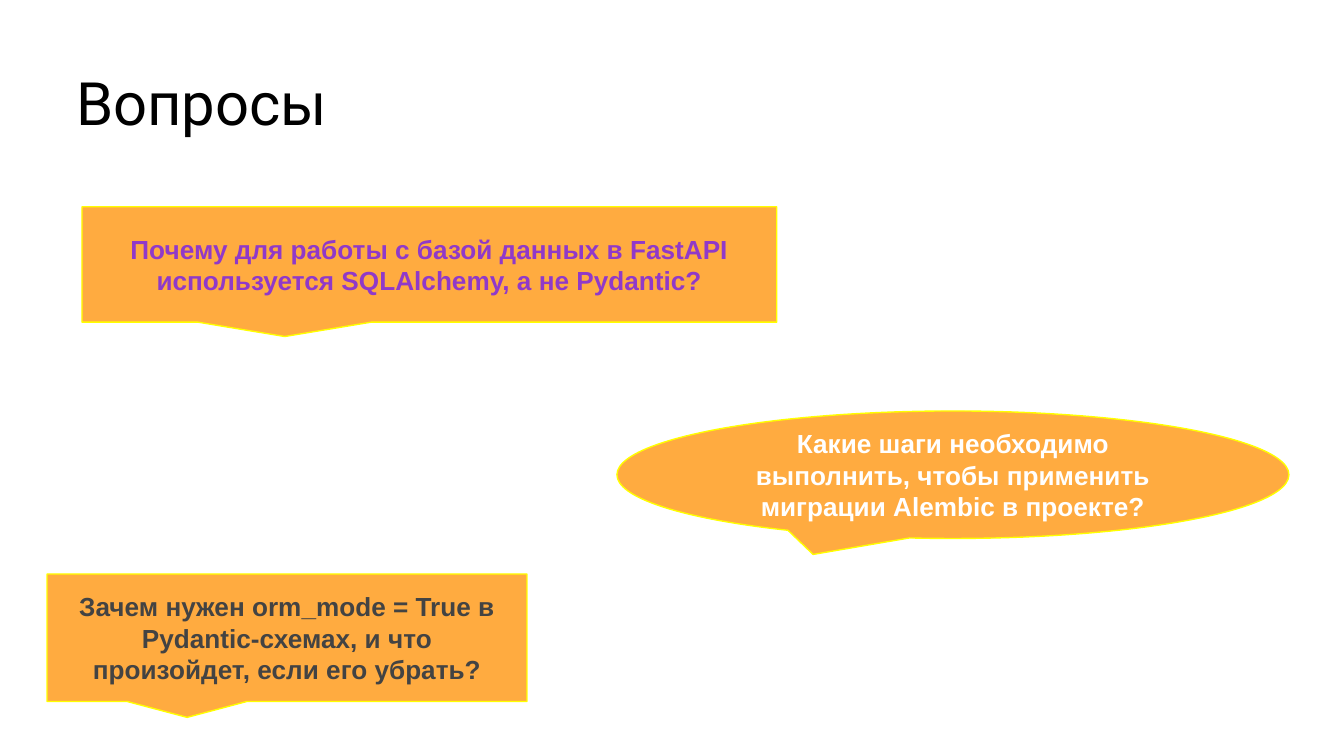
from pptx import Presentation
from pptx.dml.color import RGBColor
from pptx.enum.shapes import MSO_SHAPE
from pptx.enum.text import MSO_ANCHOR, MSO_AUTO_SIZE, PP_ALIGN
from pptx.util import Cm, Pt

BLACK = RGBColor(0x00, 0x00, 0x00)
WHITE = RGBColor(0xFF, 0xFF, 0xFF)
GRAY = RGBColor(0x43, 0x43, 0x43)
PURPLE = RGBColor(0x90, 0x39, 0xC9)
ORANGE = RGBColor(0xFF, 0xAB, 0x40)
YELLOW = RGBColor(0xFF, 0xFF, 0x00)
POINTER = (-0.208, 0.625)


def place(shape, left, top, width, height):
    """Position a shape, in centimetres."""
    shape.left, shape.top = Cm(left), Cm(top)
    shape.width, shape.height = Cm(width), Cm(height)


def write(shape, text, *, font, size, color, bold=False,
          align=PP_ALIGN.LEFT, anchor=MSO_ANCHOR.TOP):
    """Fill a shape with one formatted paragraph."""
    frame = shape.text_frame
    frame.word_wrap = True
    frame.vertical_anchor = anchor
    frame.margin_left = frame.margin_right = Cm(0.25)
    frame.margin_top = frame.margin_bottom = Cm(0.25)
    para = frame.paragraphs[0]
    para.alignment = align
    span = para.add_run()
    span.text = text
    span.font.name = font
    span.font.size = Pt(size)
    span.font.bold = bold
    span.font.color.rgb = color


def add_title(page, text):
    """Format the title placeholder and write the heading."""
    title = page.shapes.title
    place(title, 1.19, 0.99, 19.74, 1.88)
    write(title, text, font="Roboto", size=32, color=BLACK)
    title.text_frame.auto_size = MSO_AUTO_SIZE.SHAPE_TO_FIT_TEXT


def add_question(page, kind, bounds, text, color, adjustments=POINTER):
    """Add a speech bubble holding one question."""
    bubble = page.shapes.add_shape(kind, *map(Cm, bounds))
    for index, value in enumerate(adjustments):
        bubble.adjustments[index] = value
    bubble.shadow.inherit = False
    bubble.fill.solid()
    bubble.fill.fore_color.rgb = ORANGE
    bubble.line.color.rgb = YELLOW
    bubble.line.width = Pt(0.75)
    write(bubble, text, font="Arial", size=14, color=color, bold=True,
          align=PP_ALIGN.CENTER, anchor=MSO_ANCHOR.MIDDLE)


def main():
    """Build the questions slide and save the deck."""
    deck = Presentation()
    deck.slide_width, deck.slide_height = Cm(25.4), Cm(14.29)
    page = deck.slides.add_slide(deck.slide_layouts[5])
    add_title(page, "Вопросы")
    add_question(
        page, MSO_SHAPE.ROUNDED_RECTANGULAR_CALLOUT, (1.55, 3.91, 13.13, 2.18),
        "Почему для работы с базой данных в FastAPI используется SQLAlchemy, "
        "а не Pydantic?", PURPLE, (*POINTER, 0))
    add_question(
        page, MSO_SHAPE.OVAL_CALLOUT, (11.66, 7.77, 12.7, 2.41),
        "Какие шаги необходимо выполнить, чтобы применить миграции Alembic "
        "в проекте?", WHITE)
    add_question(
        page, MSO_SHAPE.RECTANGULAR_CALLOUT, (0.89, 10.85, 9.07, 2.41),
        "Зачем нужен orm_mode = True в Pydantic-схемах, и что произойдет, "
        "если его убрать?", GRAY)
    deck.save("out.pptx")


if __name__ == "__main__":
    main()
